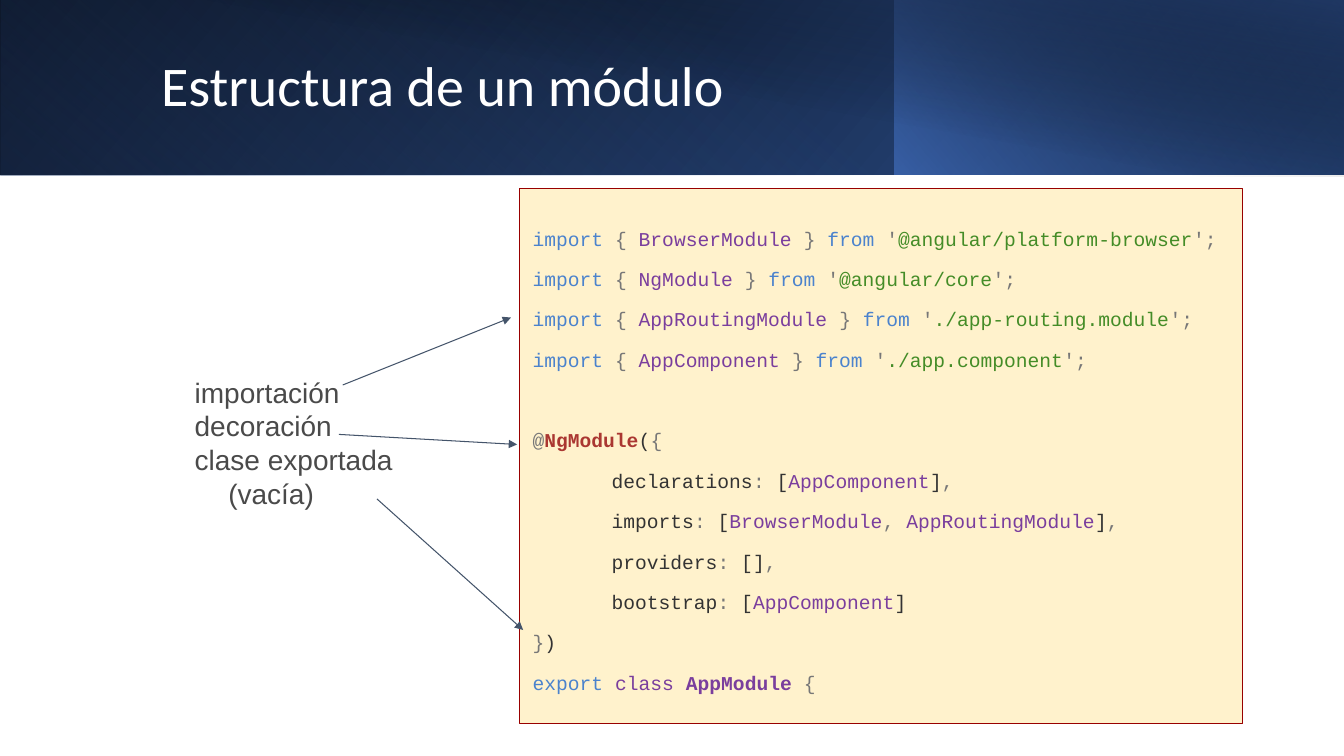
from dataclasses import dataclass

from lxml.etree import SubElement
from pptx import Presentation
from pptx.dml.color import RGBColor
from pptx.enum.shapes import MSO_CONNECTOR, MSO_SHAPE
from pptx.enum.text import MSO_ANCHOR, PP_ALIGN
from pptx.oxml import parse_xml
from pptx.oxml.ns import nsdecls, qn
from pptx.util import Pt


@dataclass(frozen=True)
class Theme:
    white: str = "FFFFFF"
    black: str = "000000"
    blue: str = "4472C4"
    deep_blue: str = "2F5597"
    navy: str = "203864"
    label: str = "4A4A4A"
    arrow: str = "44546A"
    code_fill: str = "FFF2CC"
    code_border: str = "980000"
    keyword: str = "4B83CD"
    mark: str = "777777"
    name: str = "7A3E9D"
    string: str = "448C27"
    decorator: str = "AA3731"
    plain: str = "333333"
    title_font: str = "Calibri"
    label_font: str = "Arial"
    code_font: str = "Courier New"
    title_size: int = 40
    label_size: int = 20
    code_size: int = 14
    line_width: float = 0.75


THEME = Theme()

# Left, top, width, height; angle; stops (position, colour, opacity); rotation; mirrored
BANNER_LAYERS = [
    ((0, 0, 960, 125), 140, [(0, THEME.black, 100), (100, THEME.deep_blue, 100)], 0, True),
    ((0, 0, 639, 125), 230, [(20, THEME.blue, 0), (100, THEME.navy, 55)], 180, True),
    ((639, 0, 321, 125), 220, [(0, THEME.blue, 66), (100, THEME.black, 30)], 0, True),
    ((36, 0, 924, 126), 280, [(50, THEME.black, 0), (99, THEME.navy, 52)], 0, False),
]

IMPORTS = [
    ("BrowserModule", "@angular/platform-browser"),
    ("NgModule", "@angular/core"),
    ("AppRoutingModule", "./app-routing.module"),
    ("AppComponent", "./app.component"),
]

METADATA = [
    ("declarations", ["AppComponent"], ","),
    ("imports", ["BrowserModule", "AppRoutingModule"], ","),
    ("providers", [], ","),
    ("bootstrap", ["AppComponent"], ""),
]

ARROWS = [
    ((244.8, 275), (365, 226.8)),
    ((242, 310.3), (369.4, 317.5)),
    ((269.3, 356.4), (373.7, 450)),
]


def color(value):
    return RGBColor.from_string(value)


def add_rectangle(page, area):
    box = page.shapes.add_shape(MSO_SHAPE.RECTANGLE, *map(Pt, area))
    box.shadow.inherit = False
    return box


def add_gradient_layer(page, area, angle, stops, rotation, mirrored):
    box = add_rectangle(page, area)
    box.line.fill.background()
    box.rotation = rotation
    properties = box._element.spPr
    if mirrored:
        properties.find(qn("a:xfrm")).set("flipH", "1")
    stop_xml = "".join(
        f'<a:gs pos="{position * 1000}"><a:srgbClr val="{value}">'
        f'<a:alpha val="{opacity * 1000}"/></a:srgbClr></a:gs>'
        for position, value, opacity in stops
    )
    gradient = parse_xml(
        f'<a:gradFill {nsdecls("a")} rotWithShape="1"><a:gsLst>{stop_xml}</a:gsLst>'
        f'<a:lin ang="{angle * 60000}" scaled="0"/></a:gradFill>'
    )
    properties.find(qn("a:prstGeom")).addnext(gradient)


def add_text(para, text, *, font, size, fill, bold=False):
    span = para.add_run()
    span.text = text
    span.font.name = font
    span.font.size = Pt(size)
    span.font.bold = bold
    span.font.color.rgb = color(fill)


def next_paragraph(frame, first):
    return frame.paragraphs[0] if first else frame.add_paragraph()


def set_indent(para, left, first_line=0):
    properties = para._p.get_or_add_pPr()
    properties.set("marL", str(Pt(left)))
    properties.set("indent", str(Pt(first_line)))


def add_text_box(page, area):
    frame = page.shapes.add_textbox(*map(Pt, area)).text_frame
    frame.word_wrap = True
    frame.vertical_anchor = MSO_ANCHOR.MIDDLE
    return frame


def add_title(page, text):
    para = add_text_box(page, (108, 23, 779, 81)).paragraphs[0]
    para.line_spacing = 0.9
    add_text(para, text, font=THEME.title_font, size=THEME.title_size, fill=THEME.white)


def add_labels(page, labels):
    """Each label is a list of lines; lines after the first hang."""
    frame = add_text_box(page, (108, 183, 765, 266))
    for index, lines in enumerate(labels):
        para = next_paragraph(frame, index == 0)
        set_indent(para, 48, -24)
        for number, line in enumerate(lines):
            if number:
                para.add_line_break()
            add_text(para, line, font=THEME.label_font, size=THEME.label_size, fill=THEME.label)


def import_line(name, source):
    return [("import ", THEME.keyword), ("{ ", THEME.mark), (f"{name} ", THEME.name),
            ("} ", THEME.mark), ("from ", THEME.keyword), ("'", THEME.mark),
            (source, THEME.string), ("';", THEME.mark)]


def metadata_line(key, names, ending):
    tokens = [(f" {key}", THEME.plain), (":", THEME.mark), (" [", THEME.plain)]
    for index, name in enumerate(names):
        if index:
            tokens.append((", ", THEME.mark))
        tokens.append((name, THEME.name))
    tokens.append(("]", THEME.plain))
    if ending:
        tokens.append((ending, THEME.mark))
    return tokens


def add_code_line(frame, tokens, *, first=False, indent=0, before=0):
    para = next_paragraph(frame, first)
    para.alignment = PP_ALIGN.LEFT
    para.line_spacing = 1.36
    para.space_after = Pt(6)
    if before:
        para.space_before = Pt(before)
    set_indent(para, indent)
    for text, fill, *bold in tokens:
        add_text(para, text, font=THEME.code_font, size=THEME.code_size,
                 fill=fill, bold=bool(bold))


def add_code_panel(page):
    box = add_rectangle(page, (370.8, 134.6, 517, 382.3))
    box.fill.solid()
    box.fill.fore_color.rgb = color(THEME.code_fill)
    box.line.color.rgb = color(THEME.code_border)
    box.line.width = Pt(THEME.line_width)
    frame = box.text_frame
    frame.word_wrap = True
    frame.vertical_anchor = MSO_ANCHOR.MIDDLE
    frame.margin_left = frame.margin_right = Pt(9.6)
    frame.margin_top = frame.margin_bottom = Pt(9.6)

    for index, (name, source) in enumerate(IMPORTS):
        add_code_line(frame, import_line(name, source), first=index == 0)
    add_code_line(frame, [("@", THEME.mark), ("NgModule", THEME.decorator, "bold"),
                          ("(", THEME.plain), ("{", THEME.mark)], before=28.7)
    for entry in METADATA:
        add_code_line(frame, metadata_line(*entry), indent=48)
    add_code_line(frame, [("}", THEME.mark), (")", THEME.plain)])
    add_code_line(frame, [("export ", THEME.keyword), ("class ", THEME.name),
                          ("AppModule ", THEME.name, "bold"), ("{", THEME.mark)])


def add_arrow(page, start, end):
    arrow = page.shapes.add_connector(MSO_CONNECTOR.STRAIGHT, *map(Pt, start + end))
    arrow.line.color.rgb = color(THEME.arrow)
    arrow.line.width = Pt(THEME.line_width)
    SubElement(arrow.line._get_or_add_ln(), qn("a:tailEnd"), type="triangle")
    SubElement(arrow._element.spPr, qn("a:effectLst"))


def main():
    deck = Presentation()
    deck.slide_width, deck.slide_height = Pt(960), Pt(540)
    page = deck.slides.add_slide(deck.slide_layouts[6])
    for layer in BANNER_LAYERS:
        add_gradient_layer(page, *layer)
    add_title(page, "Estructura de un módulo")
    add_labels(page, [["importación"], ["decoración"], ["clase exportada", "(vacía)"]])
    add_code_panel(page)
    for start, end in ARROWS:
        add_arrow(page, start, end)
    deck.save("out.pptx")


if __name__ == "__main__":
    main()
